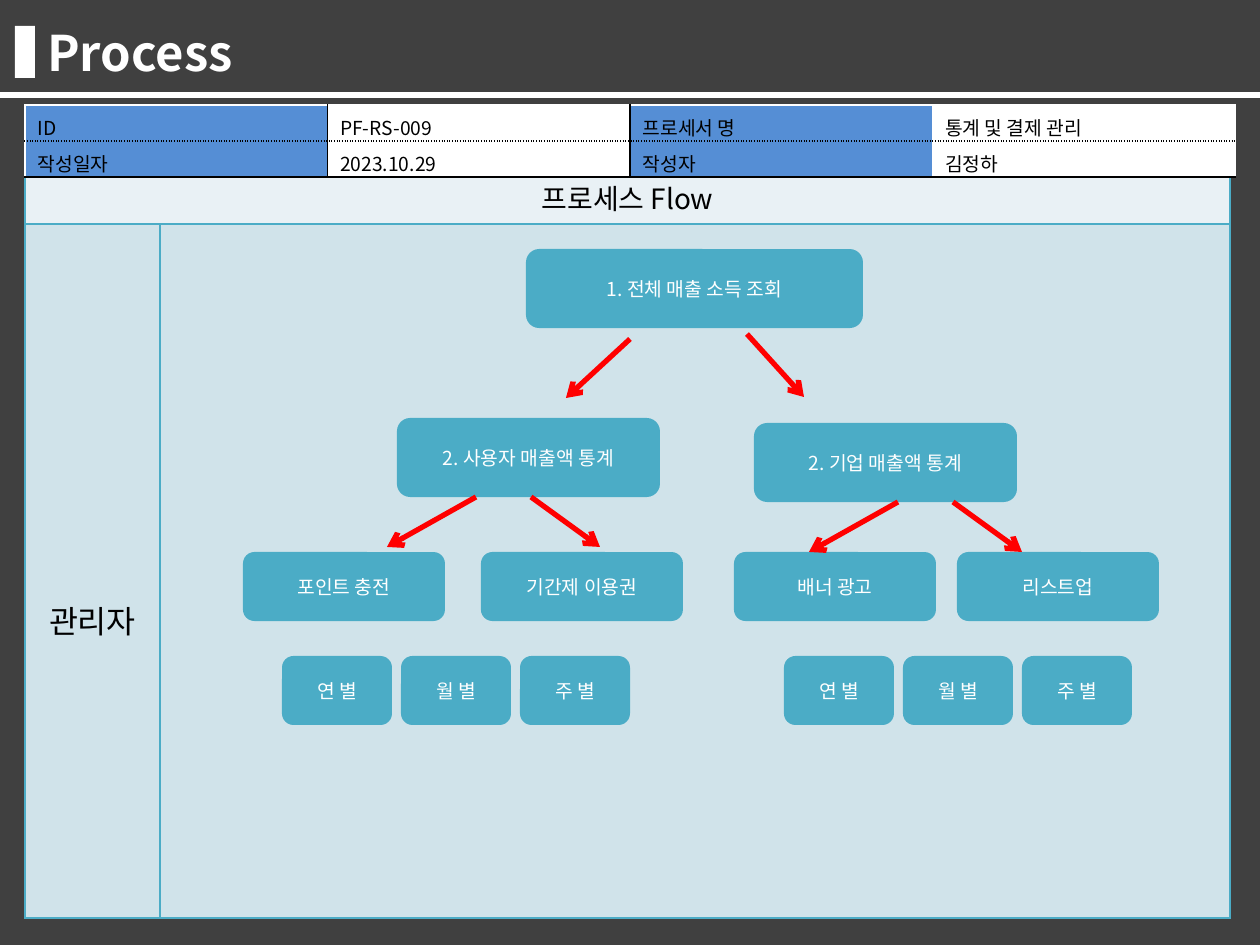
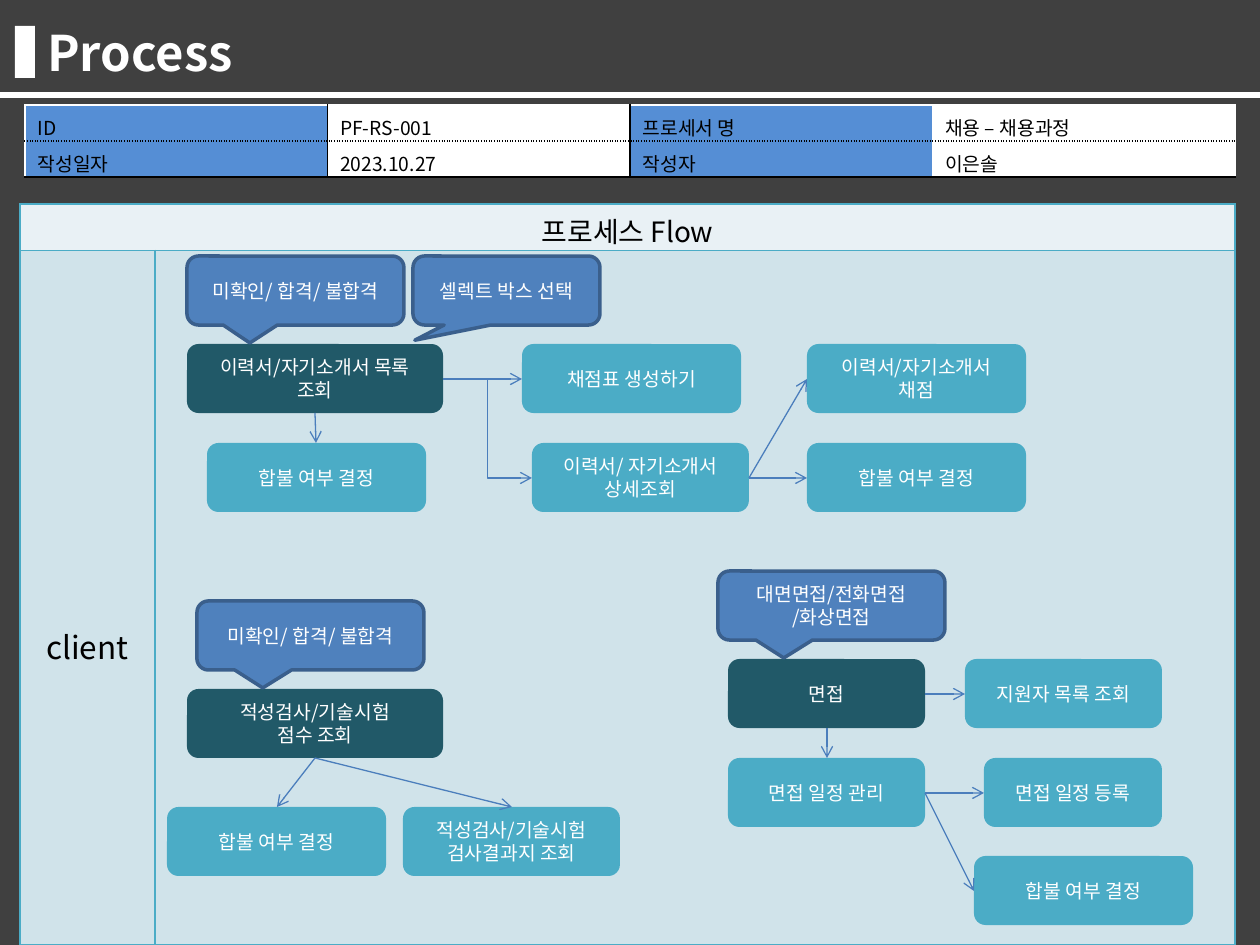
"""Build two process-flow slides with a shared header, info table and flow table."""
from lxml import etree
from pptx import Presentation
from pptx.dml.color import RGBColor
from pptx.enum.shapes import MSO_CONNECTOR, MSO_SHAPE
from pptx.enum.text import MSO_ANCHOR, PP_ALIGN
from pptx.oxml.ns import qn
from pptx.util import Emu, Pt

PX = 914400 / 126
FONT = "Noto Sans CJK KR"
C = {
    "back": "404040", "white": "FFFFFF", "black": "000000", "label": "558ED5",
    "teal": "4BACC6", "dark": "215968", "head": "E9F1F5", "body": "D0E3EA",
    "blue": "4F81BD", "edge": "3A5F8C", "wire": "4B7EBC", "red": "FF0000",
}
RECT, ROUND = MSO_SHAPE.RECTANGLE, MSO_SHAPE.ROUNDED_RECTANGLE
CALLOUT = MSO_SHAPE.ROUNDED_RECTANGULAR_CALLOUT
STRAIGHT, ELBOW = MSO_CONNECTOR.STRAIGHT, MSO_CONNECTOR.ELBOW
LEFT, CENTER = PP_ALIGN.LEFT, PP_ALIGN.CENTER
TOP, MIDDLE = MSO_ANCHOR.TOP, MSO_ANCHOR.MIDDLE


def write(tf, text, size=11, color="white", bold=False, align=CENTER, anchor=MIDDLE):
    tf.word_wrap = True
    tf.vertical_anchor = anchor
    for i, line in enumerate(text.split("\n")):
        p = tf.add_paragraph() if i else tf.paragraphs[0]
        p.alignment = align
        r = p.add_run()
        r.text = line
        r.font.size, r.font.bold, r.font.name = Pt(size), bold, FONT
        r.font.color.rgb = RGBColor.from_string(C[color])
        etree.SubElement(r._r.get_or_add_rPr(), qn("a:ea"), typeface=FONT)


def style_cell(cell, text, fill, borders, size=11, align=LEFT, top=0):
    cell.margin_top, cell.margin_bottom = Emu(int(top * PX)), 0
    if text:
        write(cell.text_frame, text, size=size, color="black", align=align, anchor=TOP)
    cell.vertical_anchor = TOP
    cell.fill.solid()
    cell.fill.fore_color.rgb = RGBColor.from_string(C[fill])
    tcPr = cell._tc.get_or_add_tcPr()
    for i, (side, (color, dash)) in enumerate(zip("LRTB", borders)):
        ln = etree.Element(qn("a:ln" + side), w="12700")
        solid = etree.SubElement(ln, qn("a:solidFill"))
        etree.SubElement(solid, qn("a:srgbClr"), val=C[color])
        etree.SubElement(ln, qn("a:prstDash"), val=dash)
        tcPr.insert(i, ln)


FRAME = [(RECT, "back", 0, 0, 1260, 945, ""), (RECT, "white", 15, 26, 20, 52, ""),
         (RECT, "white", 0, 92, 1260, 6, "")]
WHITE, BLACK, DOTTED = ("white", "solid"), ("black", "solid"), ("black", "sysDot")
TEAL = ("teal", "solid")
COLUMN_LINES = [WHITE, BLACK, BLACK, WHITE, WHITE]
ROW_LINES = [WHITE, DOTTED, BLACK]

SLIDES = [
    {
        "id": "PF-RS-009", "name": "통계 및 결제 관리", "date": "2023.10.29", "author": "김정하",
        "role": "관리자", "flow": (25, 171, 135, 1070, 53), "wire": ("red", 3),
        "boxes": [
            (ROUND, "teal", 526, 249, 337, 79, "1. 전체 매출 소득 조회"),
            (ROUND, "teal", 397, 418, 263, 79, "2. 사용자 매출액 통계"),
            (ROUND, "teal", 754, 423, 263, 79, "2. 기업 매출액 통계"),
        ] + [
            (ROUND, "teal", x, 552, 202, 69, text)
            for x, text in [(243, "포인트 충전"), (481, "기간제 이용권"),
                            (734, "배너 광고"), (957, "리스트업")]
        ] + [
            (ROUND, "teal", x + 119 * i, 656, 110, 69, text)
            for x in (282, 784) for i, text in enumerate(["연 별", "월 별", "주 별"])
        ],
        "callouts": [],
        "arrows": [
            (STRAIGHT, 630, 339, 566, 398), (STRAIGHT, 747, 334, 804, 397),
            (STRAIGHT, 476, 497, 387, 547), (STRAIGHT, 531, 497, 600, 547),
            (STRAIGHT, 898, 502, 809, 552), (STRAIGHT, 953, 502, 1022, 552),
        ],
    },
    {
        "id": "PF-RS-001", "name": "채용 – 채용과정", "date": "2023.10.27", "author": "이은솔",
        "role": "client", "flow": (20, 204, 135, 1080, 46), "wire": ("wire", 0.75),
        "boxes": [
            (ROUND, "dark", 187, 344, 256, 69, "이력서/자기소개서 목록 조회"),
            (ROUND, "teal", 522, 344, 219, 69, "채점표 생성하기"),
            (ROUND, "teal", 807, 344, 219, 69, "이력서/자기소개서 채점"),
            (ROUND, "teal", 207, 443, 219, 69, "합불 여부 결정"),
            (ROUND, "teal", 532, 443, 217, 69, "이력서/ 자기소개서 상세조회"),
            (ROUND, "teal", 807, 443, 219, 69, "합불 여부 결정"),
            (ROUND, "dark", 187, 689, 256, 69, "적성검사/기술시험\n점수 조회"),
            (ROUND, "teal", 167, 807, 219, 69, "합불 여부 결정"),
            (ROUND, "teal", 403, 807, 217, 69, "적성검사/기술시험 검사결과지 조회"),
            (ROUND, "dark", 728, 659, 197, 69, "면접"),
            (ROUND, "teal", 965, 659, 197, 69, "지원자 목록 조회"),
            (ROUND, "teal", 728, 758, 197, 69, "면접 일정 관리"),
            (ROUND, "teal", 984, 758, 178, 69, "면접 일정 등록"),
            (ROUND, "teal", 974, 856, 219, 69, "합불 여부 결정"),
        ],
        "callouts": [
            (CALLOUT, "blue", 187, 256, 217, 69, "미확인/ 합격/ 불합격", -0.21, 0.76),
            (CALLOUT, "blue", 413, 256, 187, 69, "셀렉트 박스 선택", -0.49, 0.72),
            (CALLOUT, "blue", 197, 601, 227, 69, "미확인/ 합격/ 불합격", -0.21, 0.76),
            (CALLOUT, "blue", 718, 571, 227, 69, "대면면접/전화면접\n/화상면접", -0.21, 0.76),
        ],
        "arrows": [
            (STRAIGHT, 443, 379, 522, 379), (ELBOW, 443, 379, 532, 478),
            (STRAIGHT, 749, 478, 807, 379), (STRAIGHT, 749, 478, 807, 478),
            (STRAIGHT, 315, 413, 316, 443), (STRAIGHT, 315, 758, 512, 807),
            (STRAIGHT, 315, 758, 277, 807), (STRAIGHT, 827, 728, 827, 758),
            (STRAIGHT, 925, 694, 965, 694), (STRAIGHT, 925, 793, 984, 793),
            (STRAIGHT, 925, 793, 974, 891),
        ],
    },
]

prs = Presentation()
prs.slide_width, prs.slide_height = Emu(int(1260 * PX)), Emu(int(945 * PX))

for data in SLIDES:
    s = prs.slides.add_slide(prs.slide_layouts[6])
    shapes = s.shapes

    for kind, fill, x, y, w, h, text, *tip in FRAME + data["boxes"] + data["callouts"]:
        sp = shapes.add_shape(kind, *[Emu(int(v * PX)) for v in (x, y, w, h)])
        sp.shadow.inherit = False
        sp.fill.solid()
        sp.fill.fore_color.rgb = RGBColor.from_string(C[fill])
        sp.line.fill.background()
        if tip:
            sp.adjustments[0], sp.adjustments[1] = tip
            sp.line.color.rgb = RGBColor.from_string(C["edge"])
            sp.line.width = Pt(2)
        if text:
            write(sp.text_frame, text)

    title = shapes.add_textbox(*[Emu(int(v * PX)) for v in (35, 16, 1131, 72)])
    write(title.text_frame, "Process", size=28, bold=True, align=LEFT, anchor=TOP)

    x, y, role_w, body_w, head_h = data["flow"]
    flow_cells = [[("프로세스 Flow", "head", 16, 6), ("", "head", 16, 6)],
                  [(data["role"], "body", 18, 373), ("", "body", 18, 0)]]
    info_cells = [[("ID", "label", 11, 8), (data["id"], "white", 11, 8),
                   ("프로세서 명", "label", 11, 8), (data["name"], "white", 11, 8)],
                  [("작성일자", "label", 11, 8), (data["date"], "white", 11, 8),
                   ("작성자", "label", 11, 8), (data["author"], "white", 11, 8)]]
    tables = [
        (flow_cells, x, y, [role_w, body_w], [head_h, 694], [TEAL] * 3, [TEAL] * 3, CENTER),
        (info_cells, 25, 105, [302.5] * 4, [36] * 2, COLUMN_LINES, ROW_LINES, LEFT),
    ]
    for cells, left, top, widths, heights, col_lines, row_lines, align in tables:
        box = (left, top, sum(widths), sum(heights))
        gf = shapes.add_table(len(heights), len(widths), *[Emu(int(v * PX)) for v in box])
        tbl = gf.table
        tbl.first_row = tbl.horz_banding = False
        for col, w in zip(tbl.columns, widths):
            col.width = Emu(int(w * PX))
        for i, row in enumerate(cells):
            tbl.rows[i].height = Emu(int(heights[i] * PX))
            for j, (text, fill, size, margin) in enumerate(row):
                borders = col_lines[j:j + 2] + row_lines[i:i + 2]
                style_cell(tbl.cell(i, j), text, fill, borders, size, align, margin)
        if cells is flow_cells:
            tbl.cell(0, 0).merge(tbl.cell(0, 1))
            first = gf._element
            shapes._spTree.remove(first)
            shapes._spTree.insert(2 + len(FRAME), first)

    color, width = data["wire"]
    for kind, *ends in data["arrows"]:
        cn = shapes.add_connector(kind, *[Emu(int(v * PX)) for v in ends])
        cn.line.color.rgb = RGBColor.from_string(C[color])
        cn.line.width = Pt(width)
        etree.SubElement(cn.line._get_or_add_ln(), qn("a:tailEnd"), type="arrow")
        etree.SubElement(cn._element.spPr, qn("a:effectLst"))

prs.save("out.pptx")
